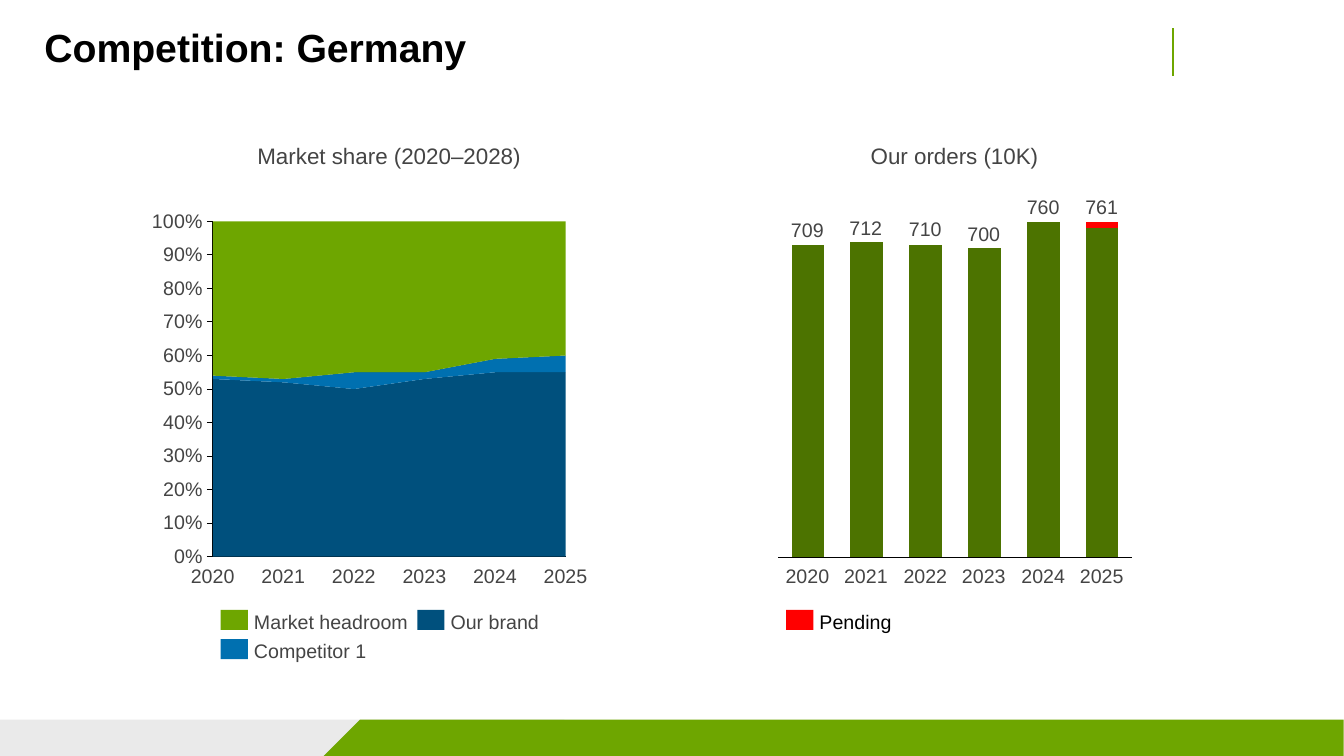
from lxml import etree
from pptx import Presentation, util as u
from pptx.chart import data as cd
from pptx.dml import color as col
from pptx.enum import chart as ec, shapes as es, text as et
from pptx.oxml import ns

PX = 9144
FONT = "Arial"
HUES = {
    "black": "000000", "grey": "444444", "pale": "EAEAEA",
    "lime": "6EA600", "moss": "4C7300", "navy": "00507D",
    "blue": "0070B0", "red": "FF0000",
}
YEARS = ["2020", "2021", "2022", "2023", "2024", "2025"]
SHARES = [
    ("Series 1", [53, 52, 50, 53, 55, 55], "navy"),
    ("Series 2", [1, 1, 5, 2, 4, 5], "blue"),
    ("Series 3", [None] * 6, "moss"),
    ("Series 4", [46, 47, 45, 45, 41, 40], "lime"),
]
ORDERS = [
    ("Series 1", [93, 94, 93, 92, 100, 98], "moss"),
    ("Series 2", [0, 0, 0, 0, 0, 2], "red"),
]
TOTALS = [("709", 217), ("712", 215), ("710", 216),
          ("700", 221), ("760", 194), ("761", 194)]
KEYS = [
    ("Market headroom", 219, 605, 160, "lime", "grey"),
    ("Competitor 1", 219, 634, 120, "blue", "grey"),
    ("Our brand", 414, 605, 96, "navy", "grey"),
    ("Pending", 780, 605, 80, "red", "black"),
]


def px(*nums):
    """Turn px lengths into EMU."""
    return [u.Emu(round(n * PX)) for n in nums]


def rgb(name):
    """Look up a colour by name."""
    return col.RGBColor.from_string(HUES[name])


def paint(shape, hue):
    """Give a shape a plain fill without line or shadow."""
    shape.fill.solid()
    shape.fill.fore_color.rgb = rgb(hue)
    shape.line.fill.background()
    shape.shadow.inherit = False


def style(font, size, hue, bold=False):
    """Set the look of a font."""
    font.name, font.size, font.bold = FONT, u.Pt(size), bold
    font.color.rgb = rgb(hue)


def write(frame, words, size=14, hue="grey", bold=False, align="LEFT",
          anchor="TOP", wrap=False, lead=None):
    """Put formatted text into a text frame."""
    frame.word_wrap = wrap
    frame.margin_left = frame.margin_right = 0
    frame.margin_top = frame.margin_bottom = 0
    frame.vertical_anchor = et.MSO_ANCHOR[anchor]
    para = frame.paragraphs[0]
    para.alignment = et.PP_ALIGN[align]
    para.line_spacing = lead
    run = para.add_run()
    run.text = words
    style(run.font, size, hue, bold)


def label(slide, box, words, **look):
    """Add a text box."""
    write(slide.shapes.add_textbox(*px(*box)).text_frame, words, **look)


def block(slide, box, hue):
    """Add a plain rectangle."""
    paint(slide.shapes.add_shape(es.MSO_SHAPE.RECTANGLE, *px(*box)), hue)


def frame(slide):
    """Draw the footer band and the header rule."""
    block(slide, (0, 714, 560, 36), "pale")
    pen = slide.shapes.build_freeform(357, 714, scale=PX)
    pen.add_line_segments([(1333.33, 714), (1333.33, 750), (321, 750)])
    paint(pen.convert_to_shape(), "lime")
    rule = slide.shapes.add_connector(
        es.MSO_CONNECTOR.STRAIGHT, *px(1164, 28, 1164, 75))
    rule.line.color.rgb, rule.line.width = rgb("lime"), u.Pt(1.5)
    etree.SubElement(rule.element.spPr, ns.qn("a:effectLst"))


def place(chart, rect):
    """Fix the inner plot area as fractions of the chart."""
    plot = chart._chartSpace.find(".//" + ns.qn("c:plotArea"))
    for old in plot.findall(ns.qn("c:layout")):
        plot.remove(old)
    lay = etree.Element(ns.qn("c:layout"))
    man = etree.SubElement(lay, ns.qn("c:manualLayout"))
    pairs = [("layoutTarget", "inner"), ("xMode", "edge"), ("yMode", "edge")]
    for tag, val in pairs + list(zip("xywh", rect)):
        etree.SubElement(man, ns.qn("c:" + tag)).set("val", str(val))
    plot.insert(0, lay)
    return plot


def graph(slide, kind, box, rows, rect):
    """Add a stacked chart with bare axes."""
    data = cd.CategoryChartData()
    data.categories = [str(n + 1) for n in range(len(YEARS))]
    for name, vals, _ in rows:
        data.add_series(name, vals)
    chart = slide.shapes.add_chart(
        ec.XL_CHART_TYPE[kind], *px(*box), data).chart
    chart.has_legend = chart.has_title = False
    style(chart.font, 10, "black")
    chart.plots[0].vary_by_categories = False
    for line, row in zip(chart.plots[0].series, rows):
        line.format.fill.solid()
        line.format.fill.fore_color.rgb = rgb(row[2])
        line.format.line.fill.background()
    cat, val = chart.category_axis, chart.value_axis
    cat.tick_label_position = ec.XL_TICK_LABEL_POSITION.NONE
    cat.major_tick_mark = ec.XL_TICK_MARK.NONE
    val.minimum_scale, val.maximum_scale, val.major_unit = 0, 100, 10
    for axis in (cat, val):
        axis.has_major_gridlines = False
        axis.minor_tick_mark = ec.XL_TICK_MARK.NONE
        axis.format.line.color.rgb = rgb("black")
        axis.format.line.width = u.Pt(0.75)
    return chart, place(chart, rect)


def share(slide):
    """Build the market share area chart."""
    chart, plot = graph(slide, "AREA_STACKED", (127, 197, 443, 378),
                        SHARES, (0.19, 0.06, 0.79, 0.88))
    plot.find(".//" + ns.qn("c:crossBetween")).set("val", "midCat")
    axis = chart.value_axis
    axis.major_tick_mark = ec.XL_TICK_MARK.OUTSIDE
    style(axis.tick_labels.font, 14, "grey")
    axis.tick_labels.number_format = '#,##0"%";"-"#,##0"%"'
    axis.tick_labels.number_format_is_linked = False


def orders(slide):
    """Build the orders column chart."""
    chart, _ = graph(slide, "COLUMN_STACKED", (765, 213, 365, 347),
                     ORDERS, (0.02, 0.02, 0.96, 0.96))
    chart.value_axis.visible = False
    chart.plots[0].gap_width, chart.plots[0].overlap = 80, 100


def main():
    """Build and save the slide."""
    deck = Presentation()
    deck.slide_width, deck.slide_height = px(1333.33, 750)
    slide = deck.slides.add_slide(deck.slide_layouts[5])
    frame(slide)
    title = slide.shapes.title
    title.left, title.top, title.width, title.height = px(44, 28, 1103, 42)
    write(title.text_frame, "Competition: Germany", size=28, hue="black",
          bold=True, wrap=True, lead=0.9)
    title.text_frame.auto_size = et.MSO_AUTO_SIZE.SHAPE_TO_FIT_TEXT
    share(slide)
    orders(slide)
    for n, (year, (total, top)) in enumerate(zip(YEARS, TOTALS)):
        mid = 801 + round(58.4 * n)
        for left in (187 + 70 * n, mid - 24):
            label(slide, (left, 559, 48, 23), year, align="CENTER")
        label(slide, (mid - 22, top, 44, 23), total, align="CENTER",
              anchor="BOTTOM")
    for words, left, top, wide, hue, ink in KEYS:
        block(slide, (left, top, 27, 20), hue)
        label(slide, (left + 33, top, wide, 23), words, hue=ink,
              anchor="MIDDLE")
    for left, words in ((211, "Market share (2020–2028)"),
                        (772, "Our orders (10K)")):
        label(slide, (left, 141, 350, 27), words, size=16, align="CENTER",
              anchor="MIDDLE")
    deck.save("out.pptx")


if __name__ == "__main__":
    main()
